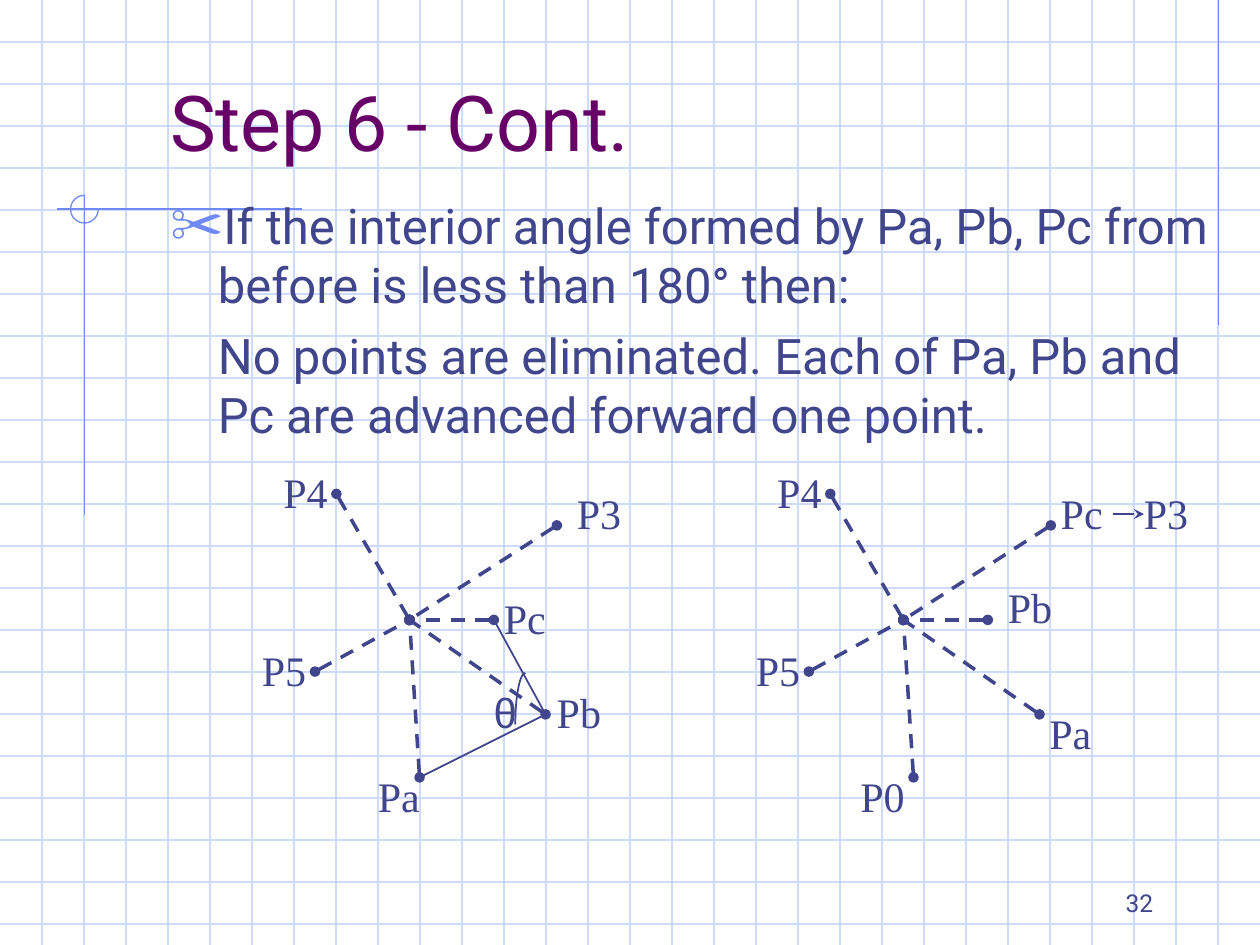
from lxml import etree
from pptx import Presentation
from pptx.dml.color import RGBColor
from pptx.enum.dml import MSO_LINE
from pptx.enum.shapes import MSO_CONNECTOR, MSO_SHAPE
from pptx.enum.text import MSO_ANCHOR, MSO_AUTO_SIZE, PP_ALIGN
from pptx.oxml.ns import qn
from pptx.util import Inches, Pt

STRAIGHT = MSO_CONNECTOR.STRAIGHT
ARC = MSO_SHAPE.ARC
DASH = MSO_LINE.DASH
LEFT, RIGHT = PP_ALIGN.LEFT, PP_ALIGN.RIGHT
TOP, MIDDLE, BOTTOM = MSO_ANCHOR.TOP, MSO_ANCHOR.MIDDLE, MSO_ANCHOR.BOTTOM

COLORS = {"grid": "CFDBFD", "accent": "6F89F7", "ink": "40458C", "title": "660066"}
SLIDE_WIDTH, SLIDE_HEIGHT = 10, 7.5
GRID_STEP = 1 / 3

# Diagram points, relative to the diagram's top left corner
CENTER = (1.25, 1)
TIPS = {
    "upper right": (2.42, 0.25),
    "upper left": (0.67, 0),
    "right": (1.92, 1),
    "lower left": (0.5, 1.41),
    "lower right": (2.33, 1.75),
    "bottom": (1.33, 2.25),
}


def color(name):
    return RGBColor.from_string(COLORS[name])


def write_text(paragraph, text, size=24, font="Times New Roman", ink="ink",
               align=LEFT, space_before=0):
    paragraph.text = text
    paragraph.alignment = align
    paragraph.space_before = Pt(space_before)
    paragraph.font.size = Pt(size)
    paragraph.font.name = font
    paragraph.font.color.rgb = color(ink)


def place(shape, box):
    shape.left, shape.top, shape.width, shape.height = map(Inches, box)


def add_text(slide, box, text, anchor=TOP, wrap=False, **text_format):
    shape = slide.shapes.add_textbox(*map(Inches, box))
    frame = shape.text_frame
    frame.word_wrap = wrap
    frame.vertical_anchor = anchor
    write_text(frame.paragraphs[0], text, **text_format)


def add_line(slide, start, end, ink="ink", width=1, dash=None, head=None, tail=None):
    line = slide.shapes.add_connector(STRAIGHT, *map(Inches, (*start, *end)))
    line.line.color.rgb = color(ink)
    line.line.width = Pt(width)
    if dash:
        line.line.dash_style = dash
    outline = line.line._get_or_add_ln()
    for tag, kind in (("a:headEnd", head), ("a:tailEnd", tail)):
        if kind:
            etree.SubElement(outline, qn(tag), type=kind)
    etree.SubElement(line._element.spPr, qn("a:effectLst"))


def add_arc(slide, center, radii, start, end, ink="ink", width=1):
    """Draw clockwise from the start angle to the end angle, in degrees."""
    (x, y), (rx, ry) = center, radii
    arc = slide.shapes.add_shape(ARC, *map(Inches, (x - rx, y - ry, 2 * rx, 2 * ry)))
    arc.adjustments[0], arc.adjustments[1] = start * 0.6, end * 0.6
    arc.shadow.inherit = False
    arc.fill.background()
    arc.line.color.rgb = color(ink)
    arc.line.width = Pt(width)


def add_background(slide, width, height):
    # Graph paper
    for row in range(1, int(height / GRID_STEP) + 1):
        y = row * GRID_STEP
        add_line(slide, (0, y), (width, y), ink="grid", width=0.75)
    for column in range(1, round(width / GRID_STEP)):
        x = column * GRID_STEP
        add_line(slide, (x, 0), (x, height), ink="grid", width=0.75)
    # Accent lines and corner mark
    for start, end in (((9.67, 0), (9.67, 2.58)),
                       ((2.4, 1.66), (0.45, 1.66)),
                       ((0.67, 1.55), (0.67, 4.09))):
        add_line(slide, start, end, ink="accent", width=0.75)
    add_arc(slide, (0.67, 1.66), (0.11, 0.11), 0, 270, ink="accent", width=0.75)


def fill_title(slide, box):
    title = slide.shapes.title
    slide.shapes._spTree.append(title._element)
    place(title, box)
    frame = title.text_frame
    frame.auto_size = MSO_AUTO_SIZE.NONE
    frame.vertical_anchor = MIDDLE
    write_text(frame.paragraphs[0], "Step 6 - Cont.", size=44, font="Roboto", ink="title")


def set_bullet(paragraph, character=None):
    properties = paragraph._p.get_or_add_pPr()
    indent = Inches(0.38)
    properties.set("marL", str(indent))
    properties.set("indent", str(-indent if character else 0))
    if not character:
        etree.SubElement(properties, qn("a:buNone"))
        return
    bullet_color = etree.SubElement(properties, qn("a:buClr"))
    etree.SubElement(bullet_color, qn("a:srgbClr"), val=COLORS["accent"])
    etree.SubElement(properties, qn("a:buSzPct"), val="110000")
    etree.SubElement(properties, qn("a:buChar"), char=character)


def fill_body(slide, box):
    body = slide.placeholders[1]
    slide.shapes._spTree.append(body._element)
    place(body, box)
    frame = body.text_frame
    frame.auto_size = MSO_AUTO_SIZE.NONE
    frame.vertical_anchor = TOP
    first, second = frame.paragraphs[0], frame.add_paragraph()
    set_bullet(first, "✂")
    write_text(first, "If the interior angle formed by Pa, Pb, Pc from before "
               "is less than 180° then:", size=28, font="Roboto")
    set_bullet(second)
    write_text(second, "No points are eliminated. Each of Pa, Pb and Pc are "
               "advanced forward one point.", size=28, font="Roboto", space_before=7)


def add_star(slide, left, top, labels):
    """Draw the dashed rays and the labels; return a function that shifts points."""
    def at(point):
        return left + point[0], top + point[1]

    for tip in TIPS.values():
        add_line(slide, at(tip), at(CENTER), width=2, dash=DASH, head="oval", tail="oval")
    for text, corner in labels.items():
        add_text(slide, (*at(corner), 0.55, 0.5), text)
    return at


def add_before_diagram(slide, left, top):
    at = add_star(slide, left, top, {
        "P3": (2.48, -0.1), "P5": (-0.02, 1.15), "Pa": (0.9, 2.15),
        "Pb": (2.32, 1.48), "Pc": (1.9, 0.73), "P4": (0.15, -0.27)})
    # Interior angle at Pb
    for name in ("bottom", "right"):
        add_line(slide, at(TIPS["lower right"]), at(TIPS[name]))
    add_arc(slide, at((2.17, 1.83)), (0.08, 0.41), 180, 270)
    add_text(slide, (*at((1.82, 1.48)), 0.38, 0.5), "θ", font="Arial")


def add_after_diagram(slide, left, top):
    at = add_star(slide, left, top, {
        "P5": (-0.02, 1.15), "P0": (0.81, 2.15), "Pb": (1.98, 0.65),
        "Pc": (2.4, -0.1), "P4": (0.15, -0.27), "Pa": (2.31, 1.65),
        "P3": (3.06, -0.1)})
    # Pc moves on to P3
    add_line(slide, at((2.91, 0.16)), at((3.16, 0.16)), tail="stealth")


def main():
    presentation = Presentation()
    presentation.slide_width = Inches(SLIDE_WIDTH)
    presentation.slide_height = Inches(SLIDE_HEIGHT)
    slide = presentation.slides.add_slide(presentation.slide_layouts[1])

    add_background(slide, SLIDE_WIDTH, SLIDE_HEIGHT)
    add_text(slide, (7.17, 6.83, 2.08, 0.5), "32", anchor=BOTTOM, wrap=True,
             size=14, font="Roboto", align=RIGHT)
    fill_title(slide, (1.25, 0.33, 8.5, 1.25))
    fill_body(slide, (1.25, 1.5, 8.5, 4.5))
    add_before_diagram(slide, 2, 3.92)
    add_after_diagram(slide, 5.92, 3.92)
    presentation.save("out.pptx")


if __name__ == "__main__":
    main()
